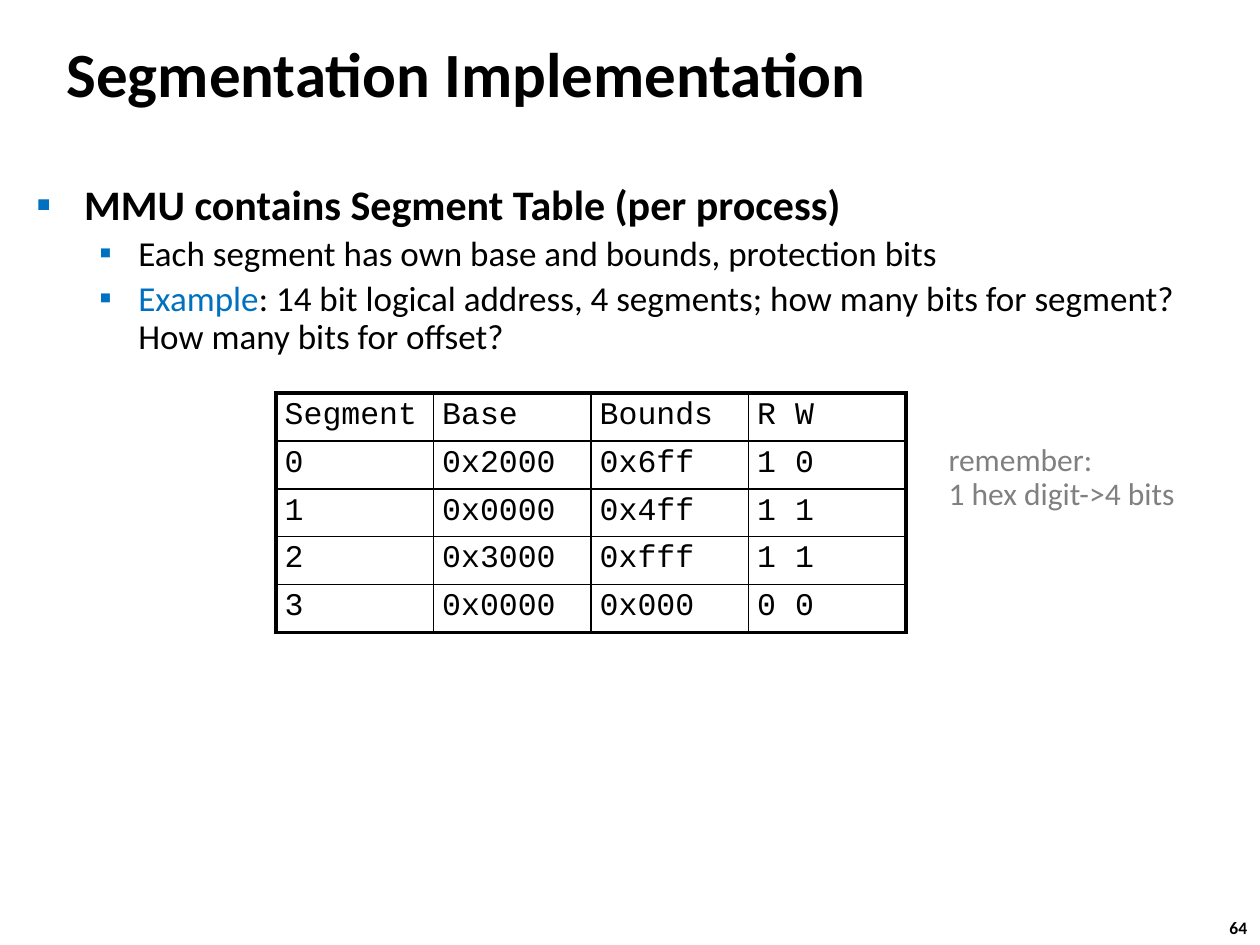
from lxml.etree import SubElement
from pptx import Presentation
from pptx.dml.color import RGBColor
from pptx.enum.text import MSO_ANCHOR
from pptx.oxml.ns import qn
from pptx.util import Inches, Pt

# Content
TITLE = "Segmentation Implementation"
PAGE_NUMBER = "64"
NOTE = "remember:\n1 hex digit->4 bits"
# Each bullet: level, list of (text, colour)
BULLETS = [
    (0, [("MMU contains Segment Table (per process)", "000000")]),
    (1, [("Each segment has own base and bounds, protection bits", "000000")]),
    (1, [("Example", "0070C0"),
         (": 14 bit logical address, 4 segments; how many bits for segment? "
          "How many bits for offset?", "000000")]),
]
# Per level: size, bold, left margin, hanging indent
LEVELS = [(24, True, 0.38, 0.38), (20, False, 0.81, 0.31)]
SEGMENTS = [
    ["Segment", "Base", "Bounds", "R W"],
    ["0", "0x2000", "0x6ff", "1 0"],
    ["1", "0x0000", "0x4ff", "1 1"],
    ["2", "0x3000", "0xfff", "1 1"],
    ["3", "0x0000", "0x000", "0 0"],
]
COLUMN_WIDTH, ROW_HEIGHT = 1.25, 0.375
OUTER_LINE, INNER_LINE = 2.25, 1


def style(font, size, color="000000", bold=False, name="Calibri"):
    font.name, font.size, font.bold = name, Pt(size), bold
    font.color.rgb = RGBColor.from_string(color)


def add_text(slide, box, text="", wrap=True, **font):
    shape = slide.shapes.add_textbox(*map(Inches, box))
    frame = shape.text_frame
    frame.word_wrap = wrap
    paragraph = frame.paragraphs[0]
    paragraph.text = text
    for run in paragraph.runs:
        style(run.font, **font)
    return frame


def add_bullet(paragraph, margin, hanging):
    properties = paragraph._p.get_or_add_pPr()
    properties.set("marL", str(Inches(margin)))
    properties.set("indent", str(-Inches(hanging)))
    color = SubElement(properties, qn("a:buClr"))
    SubElement(color, qn("a:srgbClr"), val="0070C0")
    SubElement(properties, qn("a:buFont"), typeface="Calibri")
    SubElement(properties, qn("a:buChar"), char="▪")


def add_borders(cell, widths):
    properties = cell._tc.get_or_add_tcPr()
    for index, (side, width) in enumerate(widths.items()):
        line = properties.makeelement(qn(f"a:{side}"), {"w": str(Pt(width))})
        fill = SubElement(line, qn("a:solidFill"))
        SubElement(fill, qn("a:srgbClr"), val="000000")
        properties.insert(index, line)


presentation = Presentation()
presentation.slide_width, presentation.slide_height = Inches(10), Inches(7.5)
slide = presentation.slides.add_slide(presentation.slide_layouts[6])

# Page number and title
add_text(slide, (9.66, 7.23, 0.37, 0.27), PAGE_NUMBER, wrap=False, size=10, bold=True)
title = add_text(slide, (0.43, 0.16, 8.3, 0.83), TITLE, size=36, bold=True)
title.vertical_anchor = MSO_ANCHOR.MIDDLE

# Segment table
row_count, column_count = len(SEGMENTS), len(SEGMENTS[0])
table = slide.shapes.add_table(
    row_count, column_count, Inches(2.19), Inches(3.12),
    Inches(COLUMN_WIDTH * column_count), Inches(ROW_HEIGHT * row_count)).table
table.first_row = table.horz_banding = False
for r, row in enumerate(SEGMENTS):
    for c, text in enumerate(row):
        cell = table.cell(r, c)
        cell.text = text
        cell.margin_left = cell.margin_right = Inches(0.07)
        cell.margin_top = cell.margin_bottom = Inches(0.04)
        cell.fill.background()
        style(cell.text_frame.paragraphs[0].runs[0].font, 18, name="Courier New")
        on_edge = {"lnL": c == 0, "lnR": c == column_count - 1,
                   "lnT": r == 0, "lnB": r == row_count - 1}
        add_borders(cell, {side: OUTER_LINE if outer else INNER_LINE
                           for side, outer in on_edge.items()})

# Bullets
body = add_text(slide, (0.19, 1.41, 9.62, 1.25))
for index, (level, runs) in enumerate(BULLETS):
    paragraph = body.add_paragraph() if index else body.paragraphs[0]
    size, bold, margin, hanging = LEVELS[level]
    add_bullet(paragraph, margin, hanging)
    paragraph.level = level
    paragraph.line_spacing = 0.9
    if index:
        paragraph.space_before = Pt(size * 0.2)
    for text, color in runs:
        run = paragraph.add_run()
        run.text = text
        style(run.font, size, color, bold)

# Side note
note = add_text(slide, (7.43, 3.48, 2.02, 0.65), NOTE, wrap=False, size=18, color="808080")
note.paragraphs[0].line_spacing = 0.9

presentation.save("out.pptx")
